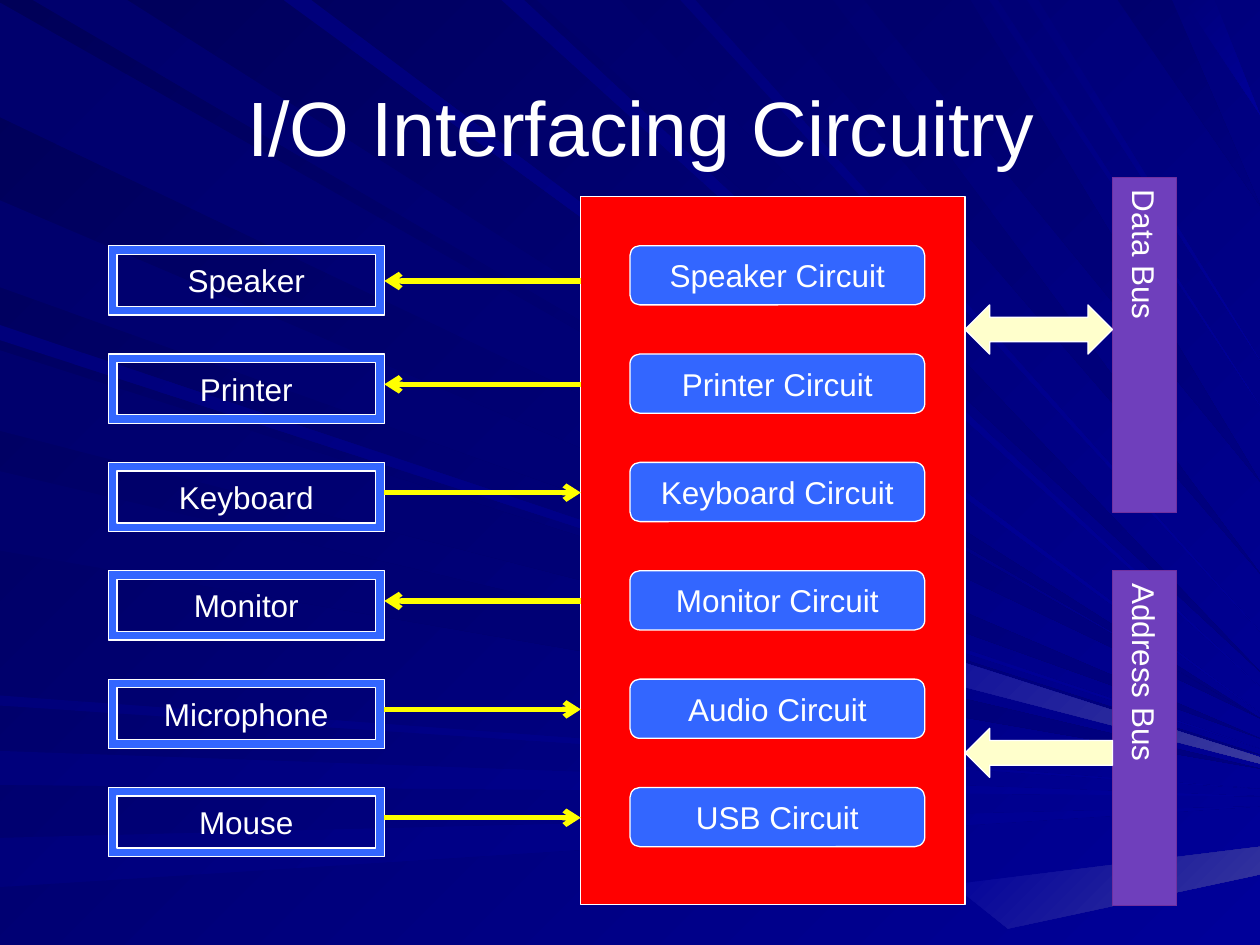
from lxml import etree
from pptx import Presentation
from pptx.dml.color import RGBColor
from pptx.enum.shapes import MSO_CONNECTOR, MSO_SHAPE
from pptx.enum.text import MSO_ANCHOR, PP_ALIGN
from pptx.oxml.ns import qn
from pptx.util import Pt

PX = 9144  # EMU per px, 100 px to the inch
WIDTH, HEIGHT = 1000, 750
FONT = "Arial"
CENTER, LEFT, MIDDLE = PP_ALIGN.CENTER, PP_ALIGN.LEFT, MSO_ANCHOR.MIDDLE
RECTANGLE, ROUNDED, FRAME = MSO_SHAPE.RECTANGLE, MSO_SHAPE.ROUNDED_RECTANGLE, MSO_SHAPE.FRAME
TWO_WAY_ARROW, UP_ARROW = MSO_SHAPE.LEFT_RIGHT_ARROW, MSO_SHAPE.UP_ARROW
STRAIGHT = MSO_CONNECTOR.STRAIGHT

WHITE = RGBColor(0xFF, 0xFF, 0xFF)
RED = RGBColor(0xFF, 0x00, 0x00)
BLUE = RGBColor(0x33, 0x66, 0xFF)
YELLOW = RGBColor(0xFF, 0xFF, 0x00)
CREAM = RGBColor(0xFF, 0xFF, 0xCC)
PURPLE = RGBColor(0x6F, 0x3F, 0xBC)
PURPLE_EDGE = RGBColor(0x70, 0x30, 0xA0)
NIGHT = RGBColor(0x00, 0x00, 0x58)
DARK_RAY = RGBColor(0x00, 0x00, 0x6D)
DARK_TIP = RGBColor(0x00, 0x00, 0x80)
RAY = RGBColor(0x00, 0x00, 0x7B)
NAVY = RGBColor(0x00, 0x00, 0x99)
GLOW = RGBColor(0x39, 0x39, 0x9E)

# Where each ray starts and ends on the left edge and on the top edge
LEFT_RAYS = [(2, 93), (159, 228), (258, 270), (278, 342), (374, 437), (552, 560), (596, 623), (665, 704)]
TOP_RAYS = [(26, 101), (225, 247), (398, 416), (426, 492), (540, 552), (606, 661),
            (686, 770), (785, 792), (815, 824), (887, 930), (939, 964)]
GLOWS = [[(637, 485), (1000, 601), (1000, 606), (633, 511)],
         [(756, 702), (1000, 672), (1000, 694), (800, 737)]]

# Device, circuit, whether the device sends to the circuit
ROWS = [
    ("Speaker", "Speaker Circuit", False),
    ("Printer", "Printer Circuit", False),
    ("Keyboard", "Keyboard Circuit", True),
    ("Monitor", "Monitor Circuit", False),
    ("Microphone", "Audio Circuit", True),
    ("Mouse", "USB Circuit", True),
]
ROW_TOP, ROW_STEP = 195, 86
DEVICE_LEFT, DEVICE_WIDTH = 86, 219
PANEL_LEFT, PANEL_WIDTH = 461, 305
BUS_LEFT = 883


def write_text(shape, text, size, alignment=CENTER):
    frame = shape.text_frame
    frame.word_wrap = True
    frame.vertical_anchor = MIDDLE
    paragraph = frame.paragraphs[0]
    paragraph.alignment = alignment
    run = paragraph.add_run()
    run.text = text
    for name, value in {"name": FONT, "size": Pt(size)}.items():
        setattr(run.font, name, value)
    run.font.color.rgb = WHITE


def add_block(kind, box, fill, edge=WHITE):
    """Add a filled preset shape; box is left, top, width, height in px."""
    shape = slide.shapes.add_shape(kind, *(length * PX for length in box))
    shape.shadow.inherit = False
    shape.fill.solid()
    shape.fill.fore_color.rgb = fill
    shape.line.color.rgb = edge
    shape.line.width = Pt(0.75)
    return shape


presentation = Presentation()
presentation.slide_width = WIDTH * PX
presentation.slide_height = HEIGHT * PX
slide = presentation.slides.add_slide(presentation.slide_layouts[6])

# Background rays, running together towards the right edge
rays = []
for start, end in LEFT_RAYS:
    tip = (WIDTH, round(565 + 0.11 * (start + end) / 2))
    rays.append(([(0, start), (0, end), tip], end - start))
for start, end in TOP_RAYS:
    tip = (WIDTH, round(570 * (1 - ((start + end) / 2 / WIDTH) ** 3.5)))
    rays.append(([(start, 0), (end, 0), tip], end - start))

polygons = []
for corners, breadth in rays:
    colors = (DARK_RAY, DARK_TIP) if breadth > 40 else (RAY, NAVY)
    polygons.append((corners, colors))
polygons += [(corners, (NAVY, GLOW)) for corners in GLOWS]

gradients = [(slide.background.fill, (NIGHT, NAVY))]
for corners, colors in polygons:
    builder = slide.shapes.build_freeform(*corners[0], scale=PX)
    builder.add_line_segments(corners[1:], close=True)
    ray = builder.convert_to_shape()
    ray.shadow.inherit = False
    ray.line.fill.background()
    gradients.append((ray.fill, colors))

for fill, colors in gradients:
    fill.gradient()
    fill.gradient_angle = 315
    for stop, color in zip(fill.gradient_stops, colors):
        stop.color.rgb = color

# Title
title = slide.shapes.add_textbox(59 * PX, 37 * PX, 900 * PX, 125 * PX)
write_text(title, "I/O Interfacing Circuitry", 44)

# Interface panel, devices and their circuits
add_block(RECTANGLE, (PANEL_LEFT, 156, PANEL_WIDTH, 562), RED)
for row, (device, circuit, sends) in enumerate(ROWS):
    top = ROW_TOP + row * ROW_STEP
    circuit_block = add_block(ROUNDED, (500, top, 234, 47), BLUE)
    write_text(circuit_block, circuit, 18)
    device_block = add_block(FRAME, (DEVICE_LEFT, top, DEVICE_WIDTH, 55), BLUE)
    write_text(device_block, device, 18)

    begin, end = DEVICE_LEFT + DEVICE_WIDTH, PANEL_LEFT
    if not sends:
        begin, end = end, begin
    y = (top + (28 if row == 0 else 24)) * PX
    arrow = slide.shapes.add_connector(STRAIGHT, begin * PX, y, end * PX, y)
    arrow.line.color.rgb = YELLOW
    arrow.line.width = Pt(3)
    properties = arrow.element.find(qn("p:spPr"))
    etree.SubElement(properties.find(qn("a:ln")), qn("a:tailEnd"), type="arrow")
    etree.SubElement(properties, qn("a:effectLst"))

# Buses
for label, top in (("Data Bus", 141), ("Address Bus", 453)):
    bus = add_block(RECTANGLE, (BUS_LEFT, top, 51, 266), PURPLE, PURPLE_EDGE)
    write_text(bus, label, 18, LEFT)
    bus.element.find(".//" + qn("a:bodyPr")).set("vert", "eaVert")

# Bus arrows
panel_right = PANEL_LEFT + PANEL_WIDTH
add_block(TWO_WAY_ARROW, (panel_right, 242, BUS_LEFT - panel_right, 39), CREAM)
address_arrow = add_block(UP_ARROW, (805, 539, 39, BUS_LEFT - panel_right), CREAM)
address_arrow.rotation = 270

presentation.save("out.pptx")
